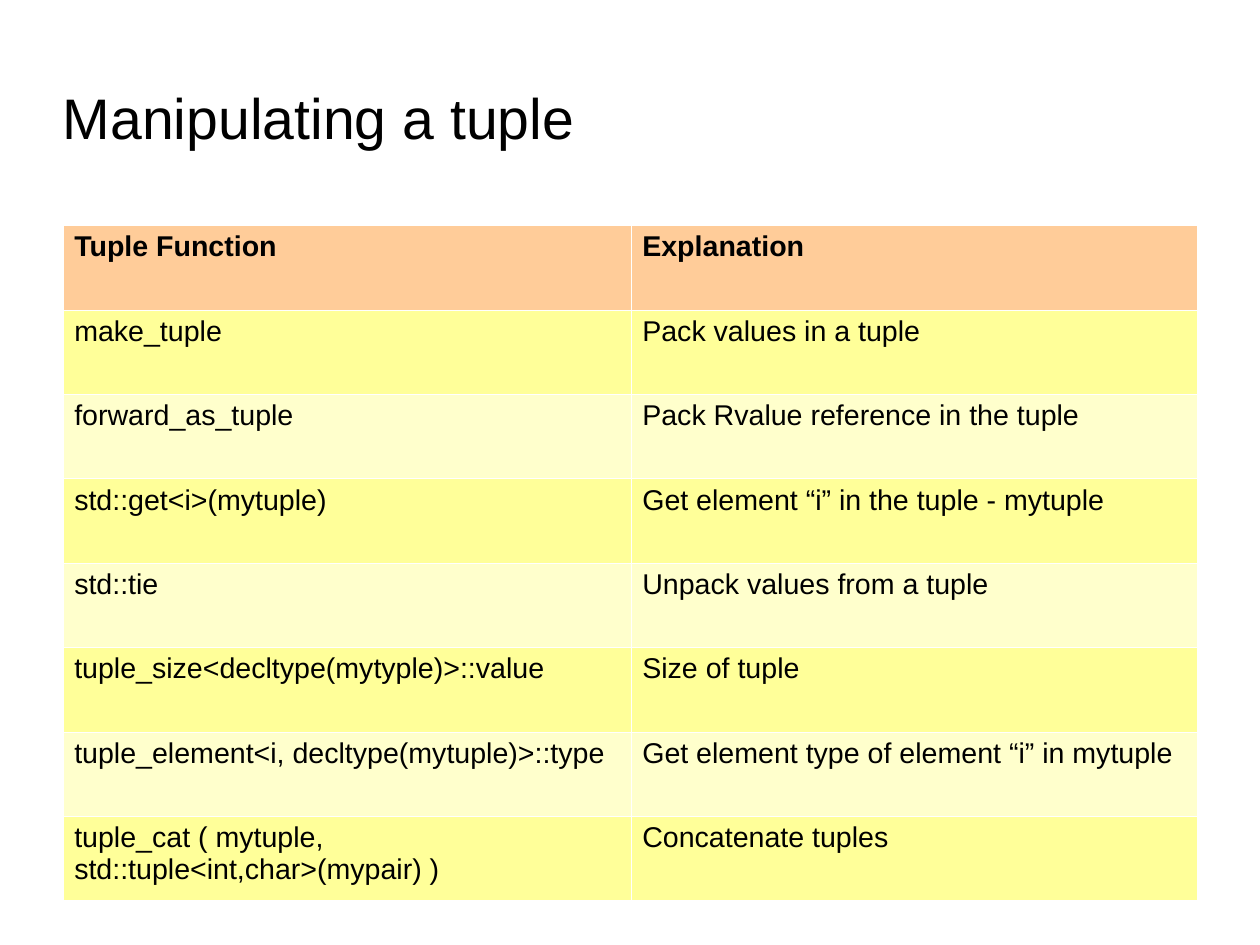
from lxml.etree import SubElement
from pptx import Presentation
from pptx.dml.color import RGBColor
from pptx.enum.text import MSO_ANCHOR, PP_ALIGN
from pptx.oxml.ns import qn
from pptx.util import Cm, Inches, Pt

FUNCTIONS = [
    ("Tuple Function", "Explanation"),
    ("make_tuple", "Pack values in a tuple"),
    ("forward_as_tuple", "Pack Rvalue reference in the tuple"),
    ("std::get<i>(mytuple)", "Get element “i” in the tuple - mytuple"),
    ("std::tie", "Unpack values from a tuple"),
    ("tuple_size<decltype(mytyple)>::value", "Size of tuple"),
    ("tuple_element<i, decltype(mytuple)>::type",
     "Get element type of element “i” in mytuple"),
    ("tuple_cat ( mytuple, std::tuple<int,char>(mypair) )", "Concatenate tuples"),
]
HEADER_FILL = "FFCC99"
BAND_FILLS = ["FFFFCC", "FFFF99"]
BORDER = "FFFFFF"


def color(hex_code):
    return RGBColor.from_string(hex_code)


def add_text(paragraph, text, size, bold=False):
    run = paragraph.add_run()
    run.text = text
    run.font.name = "Arial"
    run.font.size = Pt(size)
    run.font.bold = bold
    run.font.color.rgb = color("000000")


deck = Presentation()
deck.slide_width = Cm(28)
deck.slide_height = Cm(21)
slide = deck.slides.add_slide(deck.slide_layouts[5])

# Grid shared by the title and the table
margin = Inches(0.55)
column_widths = [Inches(4.97), Inches(4.95)]
table_height = Inches(5.91)
row_height = table_height // len(FUNCTIONS)

# Title
title = slide.shapes.title
title.left, title.top = margin, Inches(0.63)
title.width, title.height = Inches(7.87), Inches(0.79)
heading = title.text_frame
heading.margin_left = heading.margin_right = 0
heading.margin_top = heading.margin_bottom = 0
heading.vertical_anchor = MSO_ANCHOR.MIDDLE
heading.word_wrap = True
heading.paragraphs[0].alignment = PP_ALIGN.LEFT
add_text(heading.paragraphs[0], "Manipulating a tuple", 36)

# Table of tuple functions
functions = slide.shapes.add_table(
    len(FUNCTIONS), len(column_widths), margin, Inches(1.97),
    sum(column_widths), table_height).table
for column, width in zip(functions.columns, column_widths):
    column.width = width

for row, entry in enumerate(FUNCTIONS):
    functions.rows[row].height = row_height
    is_header = row == 0
    for col, text in enumerate(entry):
        cell = functions.cell(row, col)
        cell.margin_left = cell.margin_right = Inches(0.1)
        cell.margin_top = cell.margin_bottom = Inches(0.05)
        add_text(cell.text_frame.paragraphs[0], text, 18, is_header)

        # Hairline borders come before the fill in the cell properties
        properties = cell._tc.get_or_add_tcPr()
        for side in ("a:lnL", "a:lnR", "a:lnT", "a:lnB"):
            line = SubElement(properties, qn(side), w=str(Pt(0.06)))
            solid = SubElement(line, qn("a:solidFill"))
            SubElement(solid, qn("a:srgbClr"), val=BORDER)
        cell.fill.solid()
        cell.fill.fore_color.rgb = color(HEADER_FILL if is_header else BAND_FILLS[row % 2])

deck.save("out.pptx")
